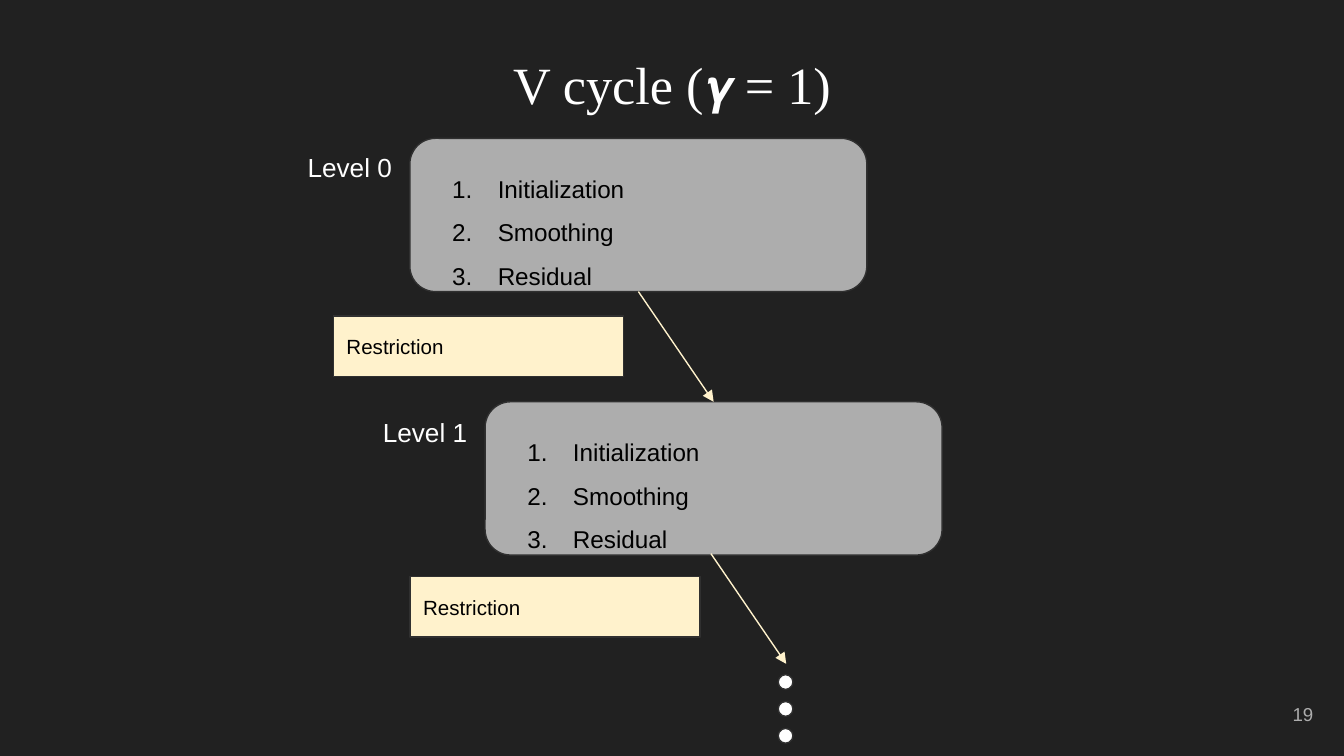
from lxml import etree
from pptx import Presentation
from pptx import util as u
from pptx.dml import color
from pptx.enum import shapes, text
from pptx.oxml import ns

COLORS = {
    "background": "212121",
    "white": "FFFFFF",
    "black": "000000",
    "gray": "ADADAD",
    "outline": "303030",
    "cream": "FFF2CC",
}
STEPS = ["Initialization", "Smoothing", "Residual"]
LEVELS = [
    {"steps": (3.05, 1.03), "label": (2.19, 1.03), "restriction": (2.48, 2.35)},
    {"steps": (3.61, 2.99), "label": (2.75, 3.0), "restriction": (3.05, 4.29)},
]


def rgb(name):
    """Return the named colour."""
    return color.RGBColor.from_string(COLORS[name])


def inches(*lengths):
    """Convert numbers to lengths in inches."""
    return [u.Inches(length) for length in lengths]


def add_child(parent, tag, **attributes):
    """Append a DrawingML element to its parent."""
    return etree.SubElement(parent, ns.qn(tag), attributes)


def write(box, lines, size, ink, font="Arial", align="LEFT", anchor="TOP", numbered=False):
    """Fill a box with styled paragraphs, numbered if asked."""
    frame = box.text_frame
    frame.word_wrap = True
    frame.vertical_anchor = getattr(text.MSO_ANCHOR, anchor)
    frame.margin_left = frame.margin_right = u.Inches(0.1)
    frame.margin_top = frame.margin_bottom = u.Inches(0.1)
    frame.text = "\n".join(lines)
    for para in frame.paragraphs:
        para.alignment = getattr(text.PP_ALIGN, align)
        if numbered:
            number_paragraph(para, ink)
        for span in para.runs:
            span.font.name = font
            span.font.size = u.Pt(size)
            span.font.color.rgb = rgb(ink)


def number_paragraph(para, ink):
    """Give a paragraph a hanging number and wide line spacing."""
    para.line_spacing = 1.5
    properties = para._p.get_or_add_pPr()
    properties.set("marL", str(u.Inches(0.5)))
    properties.set("indent", str(u.Inches(-0.34)))
    bullet_color = add_child(properties, "a:buClr")
    add_child(bullet_color, "a:srgbClr", val=COLORS[ink])
    add_child(properties, "a:buFont", typeface="Arial")
    add_child(properties, "a:buAutoNum", type="arabicPeriod")


def add_label(page, place, lines, size, ink, **style):
    """Add a text box."""
    box = page.shapes.add_textbox(*inches(*place))
    write(box, lines, size, ink, **style)


def add_block(page, kind, place, fill):
    """Add a filled shape with a thin dark outline."""
    block = page.shapes.add_shape(kind, *inches(*place))
    block.shadow.inherit = False
    block.fill.solid()
    block.fill.fore_color.rgb = rgb(fill)
    block.line.color.rgb = rgb("outline")
    block.line.width = u.Pt(0.75)
    return block


def add_level(page, number, level):
    """Add one level: its steps, label and restriction; return the steps box."""
    place = (*level["steps"], 3.4, 1.14)
    steps = add_block(page, shapes.MSO_SHAPE.ROUNDED_RECTANGLE, place, "gray")
    write(steps, STEPS, 13, "black", numbered=True)
    place = (*level["restriction"], 2.16, 0.45)
    restriction = add_block(page, shapes.MSO_SHAPE.RECTANGLE, place, "cream")
    write(restriction, ["Restriction"], 11, "black", anchor="MIDDLE")
    add_label(page, (*level["label"], 0.86, 0.45), [f"Level {number}"], 14, "white")
    return steps


def add_arrow(page, start, end):
    """Add and return a thin arrow between two points."""
    ends = inches(*start, *end)
    arrow = page.shapes.add_connector(shapes.MSO_CONNECTOR.STRAIGHT, *ends)
    arrow.line.color.rgb = rgb("cream")
    arrow.line.width = u.Pt(0.75)
    add_child(arrow.line._get_or_add_ln(), "a:tailEnd", type="triangle")
    add_child(arrow._element.spPr, "a:effectLst")
    return arrow


def main():
    """Build the V cycle slide."""
    deck = Presentation()
    deck.slide_width = u.Inches(10)
    deck.slide_height = u.Inches(10 * 9 / 16)
    page = deck.slides.add_slide(deck.slide_layouts[6])
    page.background.fill.solid()
    page.background.fill.fore_color.rgb = rgb("background")

    add_label(page, (0.34, 0.29, 9.32, 0.63), ["V cycle (𝞬 = 1)"], 28, "white",
              font="Times New Roman", align="CENTER")
    first, second = [add_level(page, number, level) for number, level in enumerate(LEVELS)]
    descent = add_arrow(page, (4.75, 2.17), (5.31, 2.99))
    descent.begin_connect(first, 2)
    descent.end_connect(second, 0)
    add_arrow(page, (5.29, 4.12), (5.85, 4.94))
    for index in range(3):
        place = (5.79, 5.02 + 0.2 * index, 0.11, 0.11)
        add_block(page, shapes.MSO_SHAPE.FLOWCHART_CONNECTOR, place, "white")
    add_label(page, (9.27, 5.1, 0.6, 0.43), ["19"], 10, "gray", align="RIGHT", anchor="MIDDLE")
    deck.save("out.pptx")


if __name__ == "__main__":
    main()
